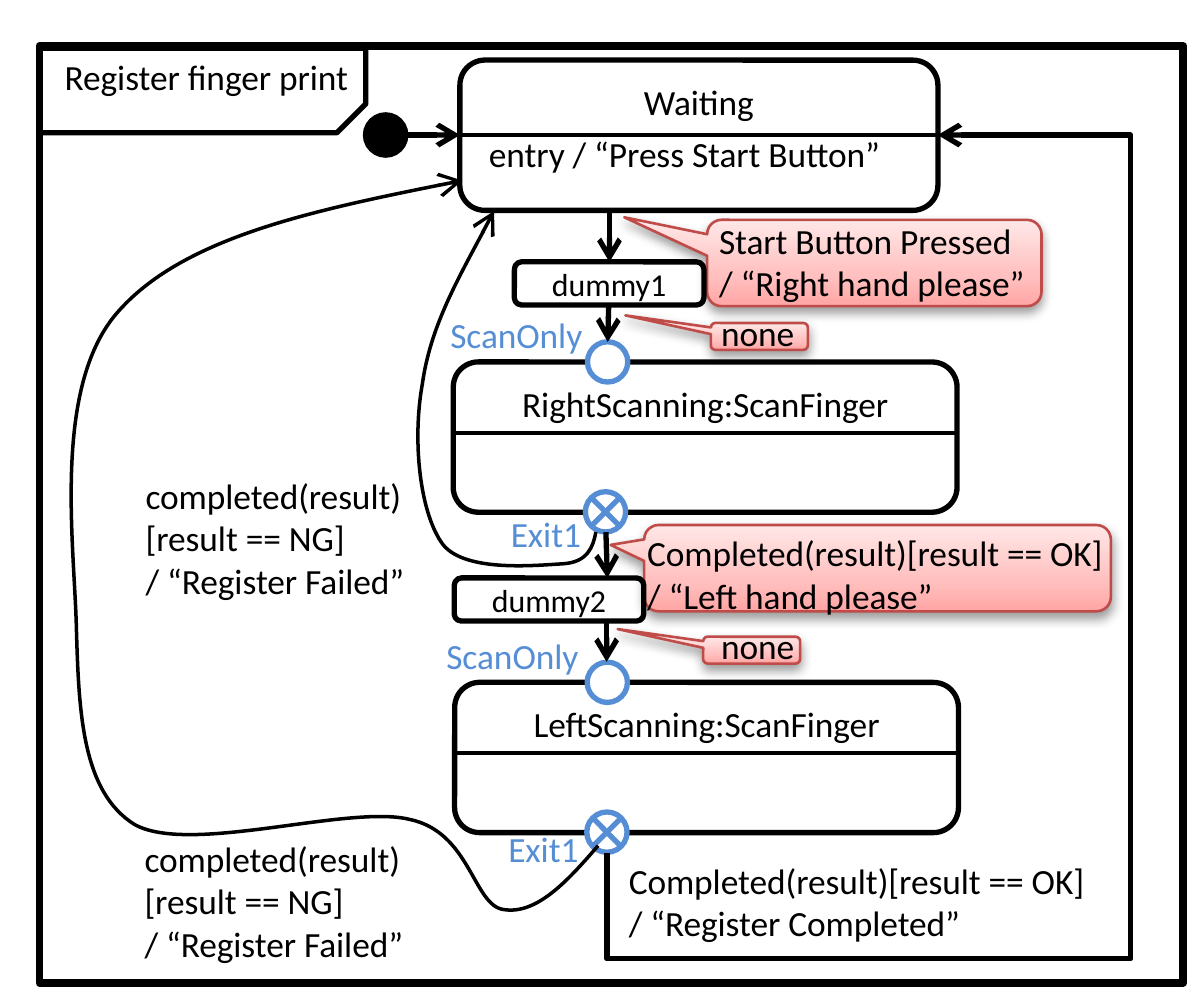
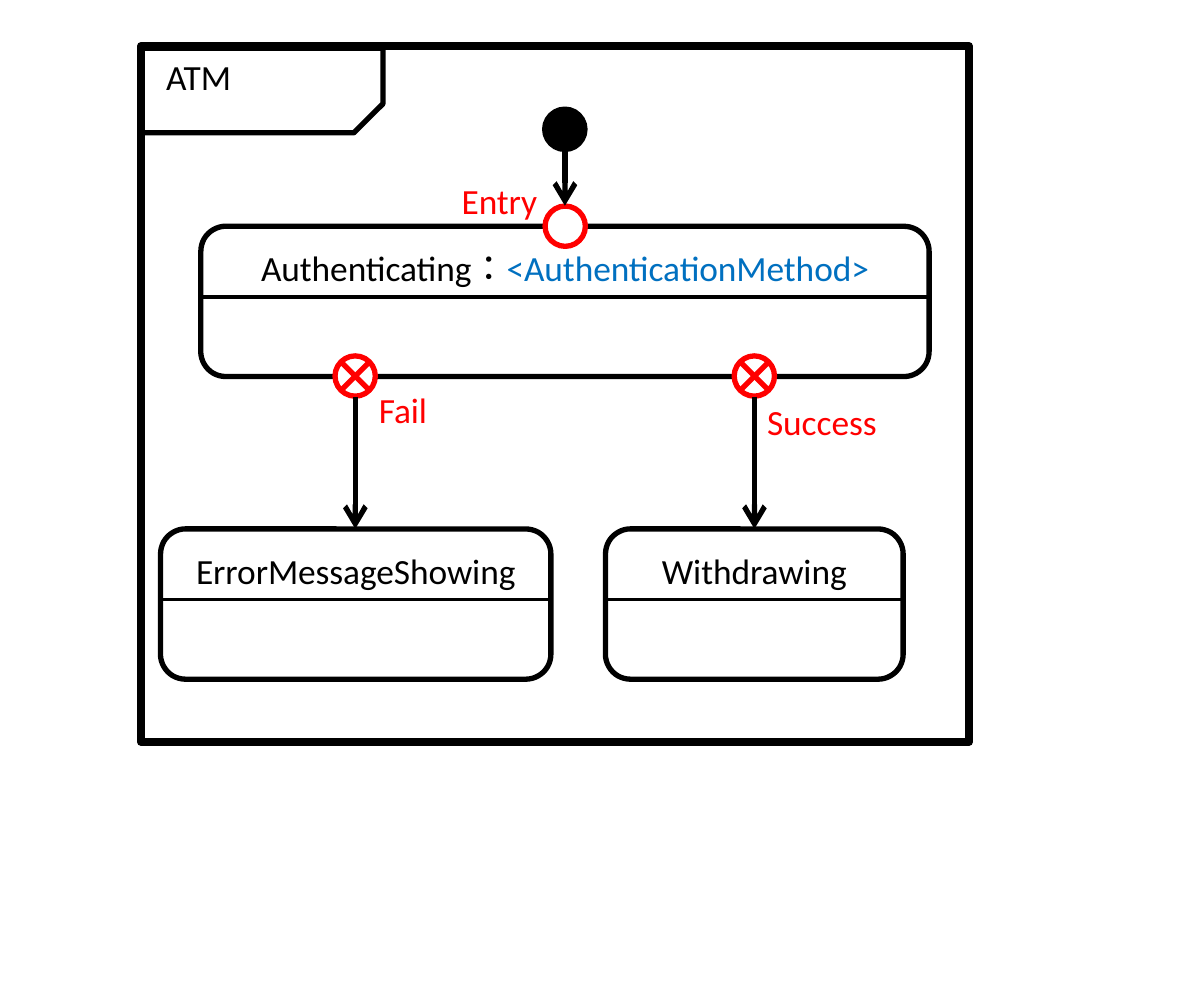
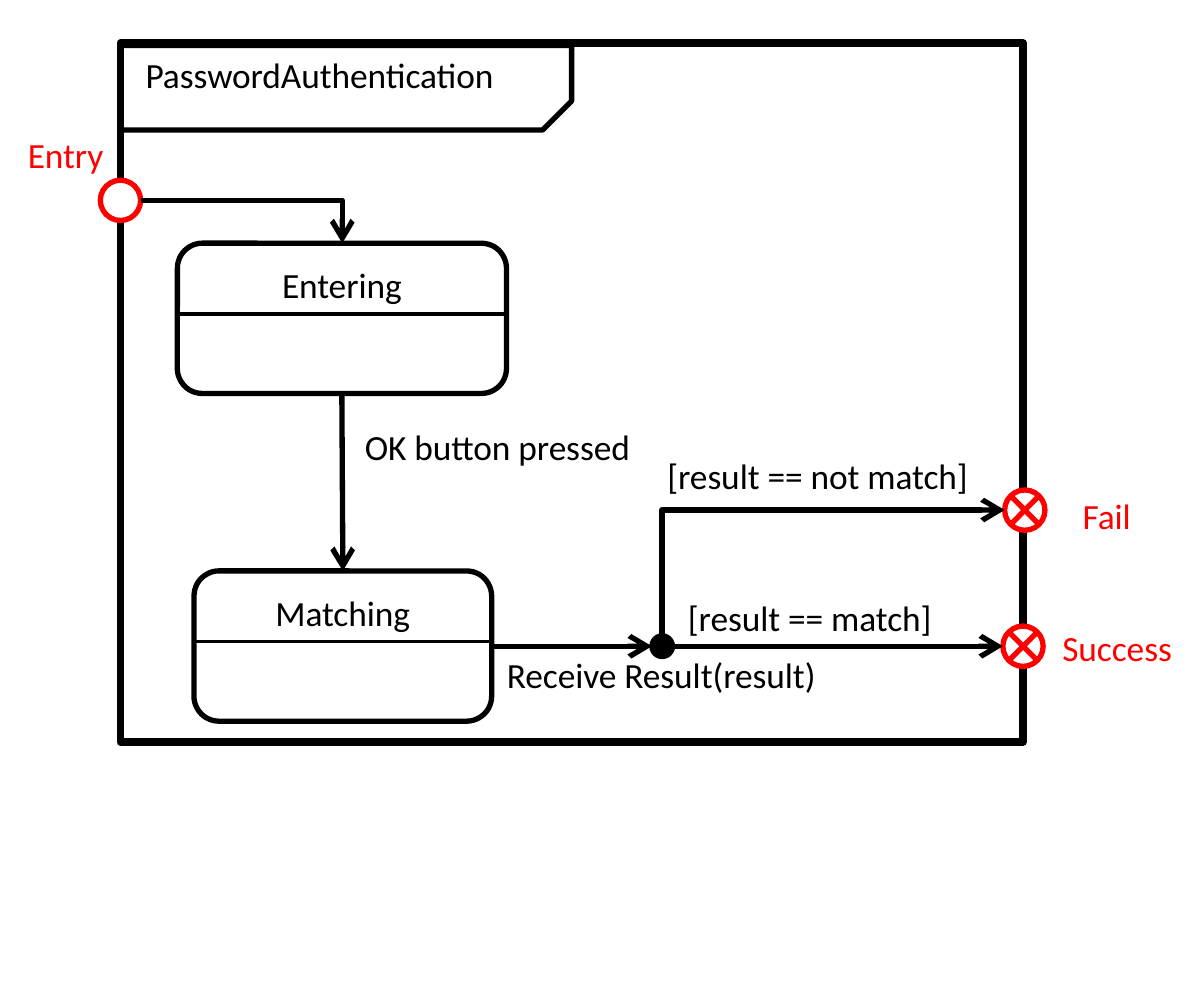
from lxml import etree
from pptx import Presentation
from pptx.dml.color import RGBColor
from pptx.enum.lang import MSO_LANGUAGE_ID
from pptx.enum.shapes import MSO_CONNECTOR, MSO_SHAPE
from pptx.enum.text import MSO_ANCHOR, MSO_AUTO_SIZE, PP_ALIGN
from pptx.oxml.ns import qn
from pptx.util import Pt

BLACK = RGBColor(0x00, 0x00, 0x00)
WHITE = RGBColor(0xFF, 0xFF, 0xFF)
RED = RGBColor(0xFF, 0x00, 0x00)
BLUE = RGBColor(0x55, 0x8E, 0xD5)
LINK_BLUE = RGBColor(0x00, 0x70, 0xC0)
CALLOUT_LINE = RGBColor(0xBF, 0x4C, 0x48)
CALLOUT_STOPS = [
    (0, RGBColor(0xFF, 0xA6, 0xA5)),
    (35, RGBColor(0xFF, 0xC0, 0xBF)),
    (100, RGBColor(0xFF, 0xE7, 0xE7)),
]

RECT = MSO_SHAPE.RECTANGLE
ROUND_RECT = MSO_SHAPE.ROUNDED_RECTANGLE
SNIP_RECT = MSO_SHAPE.SNIP_1_RECTANGLE
CIRCLE = MSO_SHAPE.FLOWCHART_CONNECTOR
CALLOUT = MSO_SHAPE.ROUNDED_RECTANGULAR_CALLOUT
STRAIGHT, ELBOW = MSO_CONNECTOR.STRAIGHT, MSO_CONNECTOR.ELBOW
TOP, MIDDLE = MSO_ANCHOR.TOP, MSO_ANCHOR.MIDDLE
CENTER = PP_ALIGN.CENTER
GROW = MSO_AUTO_SIZE.SHAPE_TO_FIT_TEXT
JAPANESE = MSO_LANGUAGE_ID.JAPANESE

SLIDE_W, SLIDE_H = 340.56, 283.68
FONT = "Calibri"
THICK, MEDIUM, THIN = 2.25, 1.5, 1
STATE_H, DUMMY_W, DUMMY_H = 42.5, 53.6, 12.2
POINT_D = 11.4
LINE_H, PAD_X, PAD_Y = 12.2, 7.2, 3.6
FAILED = "completed(result)\n[result == NG]\n/ “Register Failed”"


def put(obj, **values):
    """Set several attributes on an object."""
    for name, value in values.items():
        setattr(obj, name, value)


def sub(parent, tag, **attrs):
    """Append a DrawingML child element."""
    child = etree.SubElement(parent, qn("a:" + tag))
    for name, value in attrs.items():
        child.set(name, str(value))
    return child


def outline(sp, color=BLACK, width=MEDIUM, arrow=False):
    """Give a shape or connector a plain line, optionally with an arrowhead."""
    sp.line.color.rgb = color
    sp.line.width = Pt(width)
    if arrow:
        sub(sp._element.spPr.find(qn("a:ln")), "tailEnd", type="arrow")


def shape(shapes, kind, x, y, w, h, color=BLACK, width=MEDIUM, fill=None):
    """Add a flat preset shape."""
    sp = shapes.add_shape(kind, Pt(x), Pt(y), Pt(w), Pt(h))
    sp.shadow.inherit = False
    if fill is None:
        sp.fill.background()
    else:
        sp.fill.solid()
        sp.fill.fore_color.rgb = fill
    outline(sp, color, width)
    return sp


def add_run(p, text, color=BLACK, size=10):
    """Append a formatted run to a paragraph."""
    r = p.add_run()
    r.text = text
    put(r.font, name=FONT, size=Pt(size), language_id=JAPANESE)
    r.font.color.rgb = color


def frame_text(tf, pad_y=PAD_Y, **values):
    """Set margins and other options of a text frame."""
    put(tf, word_wrap=True, margin_left=Pt(PAD_X), margin_right=Pt(PAD_X),
        margin_top=Pt(pad_y), margin_bottom=Pt(pad_y), **values)


def label(slide, x, y, w, text, color=BLACK):
    """Add a text box with one paragraph for each line of text."""
    lines = text.split("\n")
    h = 2 * PAD_Y + LINE_H * len(lines)
    tf = slide.shapes.add_textbox(Pt(x), Pt(y), Pt(w), Pt(h)).text_frame
    frame_text(tf, auto_size=GROW)
    for i, text_line in enumerate(lines):
        add_run(tf.add_paragraph() if i else tf.paragraphs[0], text_line, color)


def line(shapes, x1, y1, x2, y2, color=BLACK, width=MEDIUM, arrow=False):
    """Add a straight line."""
    cx = shapes.add_connector(STRAIGHT, Pt(x1), Pt(y1), Pt(x2), Pt(y2))
    outline(cx, color, width, arrow)
    sub(cx._element.spPr, "effectLst")


def arrow(slide, x1, y1, x2, y2):
    """Add a transition arrow."""
    line(slide.shapes, x1, y1, x2, y2, arrow=True)


def elbow(slide, x1, y1, x2, y2, *bends):
    """Add a bent arrow; one that rises leaves its start vertically."""
    w, h = abs(x2 - x1), abs(y2 - y1)
    rises = y2 < y1
    if rises:
        w, h = h, w
    x, y = (x1 + x2 - w) / 2, (y1 + y2 - h) / 2
    cx = slide.shapes.add_connector(ELBOW, Pt(x), Pt(y), Pt(x + w), Pt(y + h))
    outline(cx, arrow=True)
    spPr = cx._element.spPr
    sub(spPr, "effectLst")
    if rises:
        for name, value in {"rot": "5400000", "flipH": "1", "flipV": "1"}.items():
            spPr.find(qn("a:xfrm")).set(name, value)
    geom = spPr.find(qn("a:prstGeom"))
    geom.set("prst", f"bentConnector{2 + len(bends)}")
    guides = geom.find(qn("a:avLst"))
    for i, bend in enumerate(bends, 1):
        sub(guides, "gd", name=f"adj{i}", fmla=f"val {round(bend * 100000)}")


def curve(slide, points):
    """Add a curved arrow: a start, then three Bezier points per segment."""
    start, *rest = [(Pt(x), Pt(y)) for x, y in points]
    builder = slide.shapes.build_freeform(*start)
    builder.add_line_segments(rest, close=False)
    sp = builder.convert_to_shape()
    sp.shadow.inherit = False
    sp.fill.background()
    outline(sp, width=THIN, arrow=True)
    track = sp._element.spPr.find(".//" + qn("a:path"))
    steps = track.findall(qn("a:lnTo"))
    for i in range(0, len(steps), 3):
        bezier = sub(track, "cubicBezTo")
        for step in steps[i:i + 3]:
            bezier.append(step[0])
            track.remove(step)


def frame(slide, x, y, w, h, tab_w, title_w, title):
    """Add the diagram frame with its title tab."""
    shape(slide.shapes, RECT, x, y, w, h, width=THICK)
    tab = shape(slide.shapes, SNIP_RECT, x, y + 0.7, tab_w, 23.9)
    tab.adjustments[0] = 0.343
    tab._element.spPr.find(qn("a:xfrm")).set("flipV", "1")
    label(slide, x, y - 0.8, title_w, title)


def state(slide, x, y, w, name, role="", divider=20):
    """Add a state box with a name and a dividing line."""
    tf = shape(slide.shapes, ROUND_RECT, x, y, w, STATE_H).text_frame
    frame_text(tf, vertical_anchor=TOP)
    p = tf.paragraphs[0]
    p.alignment = CENTER
    add_run(p, name)
    if role:
        add_run(p, role, LINK_BLUE)
    line(slide.shapes, x, y + divider, x + w, y + divider, width=THIN)


def dummy(slide, x, y, name):
    """Add a small state without a body."""
    tf = shape(slide.shapes, ROUND_RECT, x, y, DUMMY_W, DUMMY_H).text_frame
    frame_text(tf, pad_y=0, vertical_anchor=MIDDLE)
    tf.paragraphs[0].alignment = CENTER
    add_run(tf.paragraphs[0], name, size=9)


def point(shapes, cx, cy, color, fill=WHITE, d=POINT_D):
    """Add a circle around a centre."""
    shape(shapes, CIRCLE, cx - d / 2, cy - d / 2, d, d, color, fill=fill)


def exit_point(slide, cx, cy, color):
    """Add a crossed circle as one group."""
    shapes = slide.shapes.add_group_shape().shapes
    point(shapes, cx, cy, color)
    r = POINT_D / 2 * 0.71
    for side in (-r, r):
        line(shapes, cx + side, cy - r, cx - side, cy + r, color)


def callout(slide, x, y, w, h, *tip):
    """Add a shaded callout whose tip is relative to its size."""
    sp = shape(slide.shapes, CALLOUT, x, y, w, h, CALLOUT_LINE, 0.75)
    for i, value in enumerate(tip):
        sp.adjustments[i] = value
    sp.fill.gradient()
    sp.fill.gradient_angle = 90
    spPr = sp._element.spPr
    stops = spPr.find(".//" + qn("a:gsLst"))
    for stop in list(stops):
        stops.remove(stop)
    for pos, color in CALLOUT_STOPS:
        sub(sub(stops, "gs", pos=pos * 1000), "srgbClr", val=color)
    shadow = sub(spPr.find(qn("a:effectLst")), "outerShdw", blurRad=Pt(3.1),
                 dist=Pt(1.6), dir=5400000, rotWithShape=0)
    sub(sub(shadow, "srgbClr", val=BLACK), "alpha", val=38000)


def register_slide(slide):
    """Draw the fingerprint registration diagram."""
    callout(slide, 198.9, 180.1, 27.4, 7.6, -1.384, -0.785)
    callout(slide, 201.1, 91.4, 27.4, 7.6, -1.384, -0.785)
    callout(slide, 182.2, 148.5, 132, 24.4, -0.572, -0.27)
    callout(slide, 200, 62.2, 94.6, 24.4, -0.748, -0.531)
    frame(slide, 11.2, 13, 323.6, 265, 92.3, 147.6, "Register finger print")

    state(slide, 130.1, 17, 135.2, "Waiting", divider=21.2)
    state(slide, 128.2, 102.4, 142.5, "RightScanning:ScanFinger")
    state(slide, 128.6, 193, 142.5, "LeftScanning:ScanFinger")
    dummy(slide, 145.5, 74.1, "dummy1")
    dummy(slide, 128.5, 163.5, "dummy2")
    point(slide.shapes, 109.1, 38.2, BLACK, BLACK)
    for cx, entry_y, exit_x, exit_y in [(171.9, 102.4, 171.3, 144.8),
                                        (171.8, 193, 171.7, 235.4)]:
        point(slide.shapes, cx, entry_y, BLUE)
        exit_point(slide, exit_x, exit_y, BLUE)

    arrow(slide, 114.8, 38.2, 130.1, 38.2)
    arrow(slide, 172.4, 59.5, 172.4, 74.1)
    arrow(slide, 172.2, 86.4, 171.9, 96.7)
    arrow(slide, 171.4, 150.5, 171.8, 163.5)
    arrow(slide, 171.6, 175.8, 171.6, 187.2)
    elbow(slide, 171.7, 241.2, 265.3, 38.2, -0.148, 1.583)
    curve(slide, [
        (169.2, 239.2), (160.6, 249.2), (151.9, 258.7), (142.6, 257.3),
        (133.9, 256.3), (133.2, 235.4), (115.9, 231.8),
        (98.6, 227.5), (54, 241.9), (38.2, 233.3),
        (23, 223.9), (22.3, 200.9), (21.6, 176.4),
        (20.9, 152.6), (15.1, 109.4), (33.1, 88.6),
        (51.1, 67.7), (90.7, 59), (130.8, 51.1)])
    curve(slide, [
        (168.6, 150.5), (167.8, 154.8), (166.3, 159.1), (159.1, 159.5),
        (151.9, 159.9), (131.8, 162), (125.4, 154.1),
        (118.8, 145.4), (116.6, 124.6), (119.5, 108.7),
        (121.7, 92.9), (131, 76.3), (139.8, 59.7)])

    for x, y, w, text in [
        (131.2, 34, 215.3, "entry / “Press Start Button”"),
        (196.3, 58.4, 104.4, "Start Button Pressed\n/ “Right hand please”"),
        (176, 146.8, 151.2, "Completed(result)[result == OK]\n/ “Left hand please”"),
        (170.8, 239.4, 145.6, "Completed(result)[result == OK]\n/ “Register Completed”"),
        (34.1, 130.5, 99.4, FAILED),
        (33.8, 233.2, 99.4, FAILED),
        (196.9, 84.5, 36.7, "none"),
        (196.9, 173, 36.7, "none"),
    ]:
        label(slide, x, y, w, text)
    for x, y, w, text in [
        (120.3, 85.1, 52.6, "ScanOnly"),
        (119.2, 175.8, 52.6, "ScanOnly"),
        (137.4, 141.3, 36.7, "Exit1"),
        (136.7, 230.5, 36.7, "Exit1"),
    ]:
        label(slide, x, y, w, text, BLUE)


def atm_slide(slide):
    """Draw the ATM diagram."""
    frame(slide, 39.9, 13, 234.2, 196.9, 68.4, 68.4, "ATM")
    state(slide, 56.8, 64, 206, "Authenticating：", "<AuthenticationMethod>")
    state(slide, 45.4, 149.6, 110.4, "ErrorMessageShowing")
    state(slide, 171.3, 149.6, 84.2, "Withdrawing")
    point(slide.shapes, 159.8, 36.6, BLACK, BLACK)
    point(slide.shapes, 159.9, 64, RED)
    arrow(slide, 159.8, 42.5, 159.8, 58.2)
    for cx in (100.5, 213.4):
        exit_point(slide, cx, 106.4, RED)
        arrow(slide, cx, 112.2, cx, 149.6)
    label(slide, 123.5, 47.1, 52.6, "Entry", RED)
    label(slide, 100.1, 106.2, 52.6, "Fail", RED)
    label(slide, 209.9, 109.6, 52.6, "Success", RED)


def password_slide(slide):
    """Draw the password authentication diagram."""
    frame(slide, 34.1, 12.2, 255.3, 197.7, 127.6, 130.3, "PasswordAuthentication")
    state(slide, 50.2, 68.8, 93.1, "Entering")
    state(slide, 54.9, 161.5, 84.2, "Matching")
    point(slide.shapes, 34.1, 56.7, RED)
    point(slide.shapes, 187.3, 182.8, BLACK, BLACK, 5.8)
    exit_point(slide, 289.9, 144.3, RED)
    exit_point(slide, 289.4, 182.8, RED)

    elbow(slide, 39.9, 56.7, 96.8, 68.8)
    arrow(slide, 96.7, 111.3, 97, 161.5)
    arrow(slide, 139.1, 182.8, 184.4, 182.8)
    arrow(slide, 190.2, 182.8, 283.7, 182.8)
    elbow(slide, 187.3, 179.9, 284.2, 144.3)

    label(slide, 96.1, 116.8, 95, "OK button pressed")
    label(slide, 136.3, 181.3, 109.4, "Receive Result(result)")
    label(slide, 187.5, 165.1, 92.9, "[result == match]")
    label(slide, 181.7, 124.9, 113.8, "[result == not match]")
    label(slide, 0.8, 34.1, 52.6, "Entry", RED)
    label(slide, 299.1, 136.3, 41.4, "Fail", RED)
    label(slide, 293.4, 173.7, 46.8, "Success", RED)


def main():
    """Build the deck and save it."""
    prs = Presentation()
    put(prs, slide_width=Pt(SLIDE_W), slide_height=Pt(SLIDE_H))
    for draw in (register_slide, atm_slide, password_slide):
        draw(prs.slides.add_slide(prs.slide_layouts[6]))
    prs.save("out.pptx")


main()
